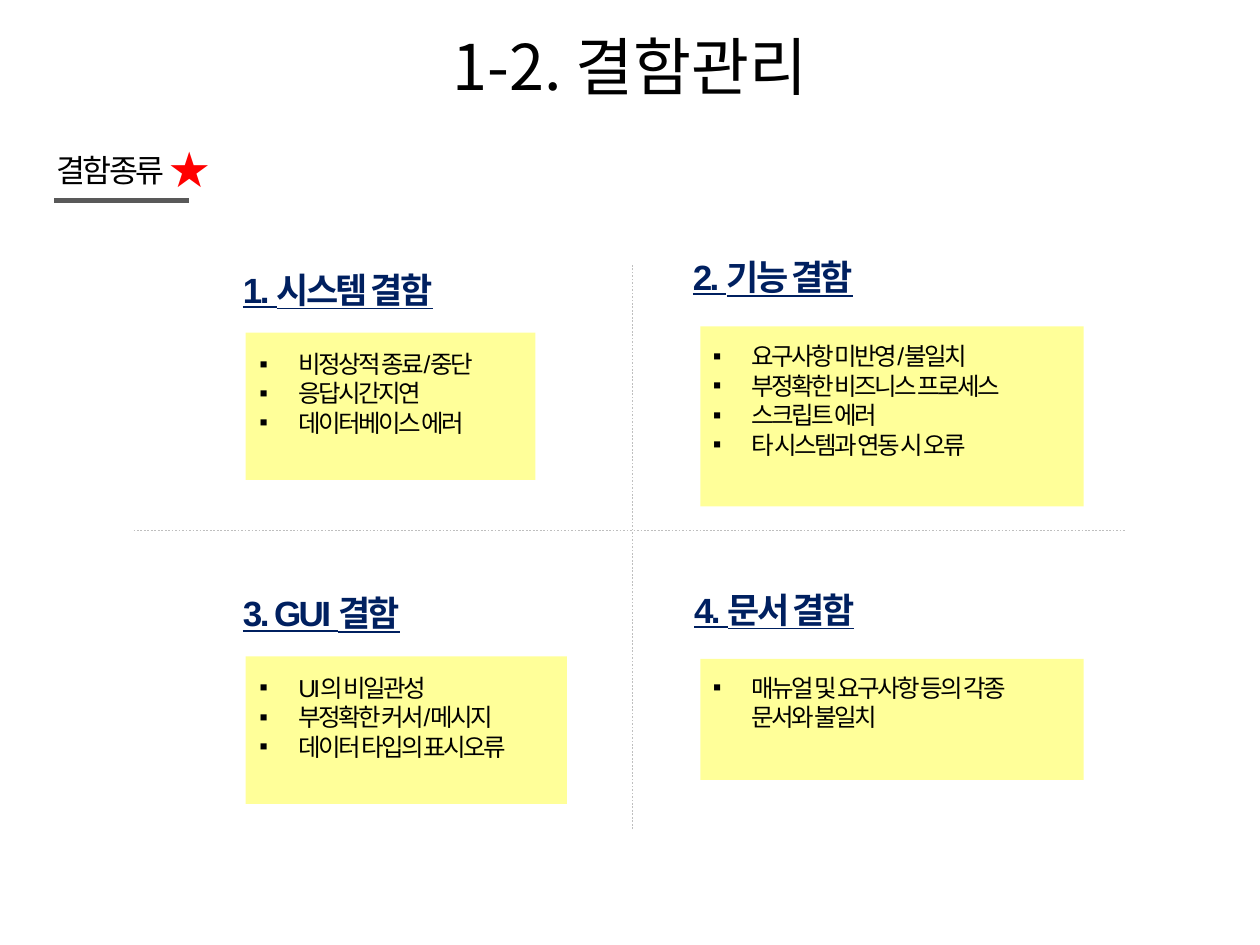
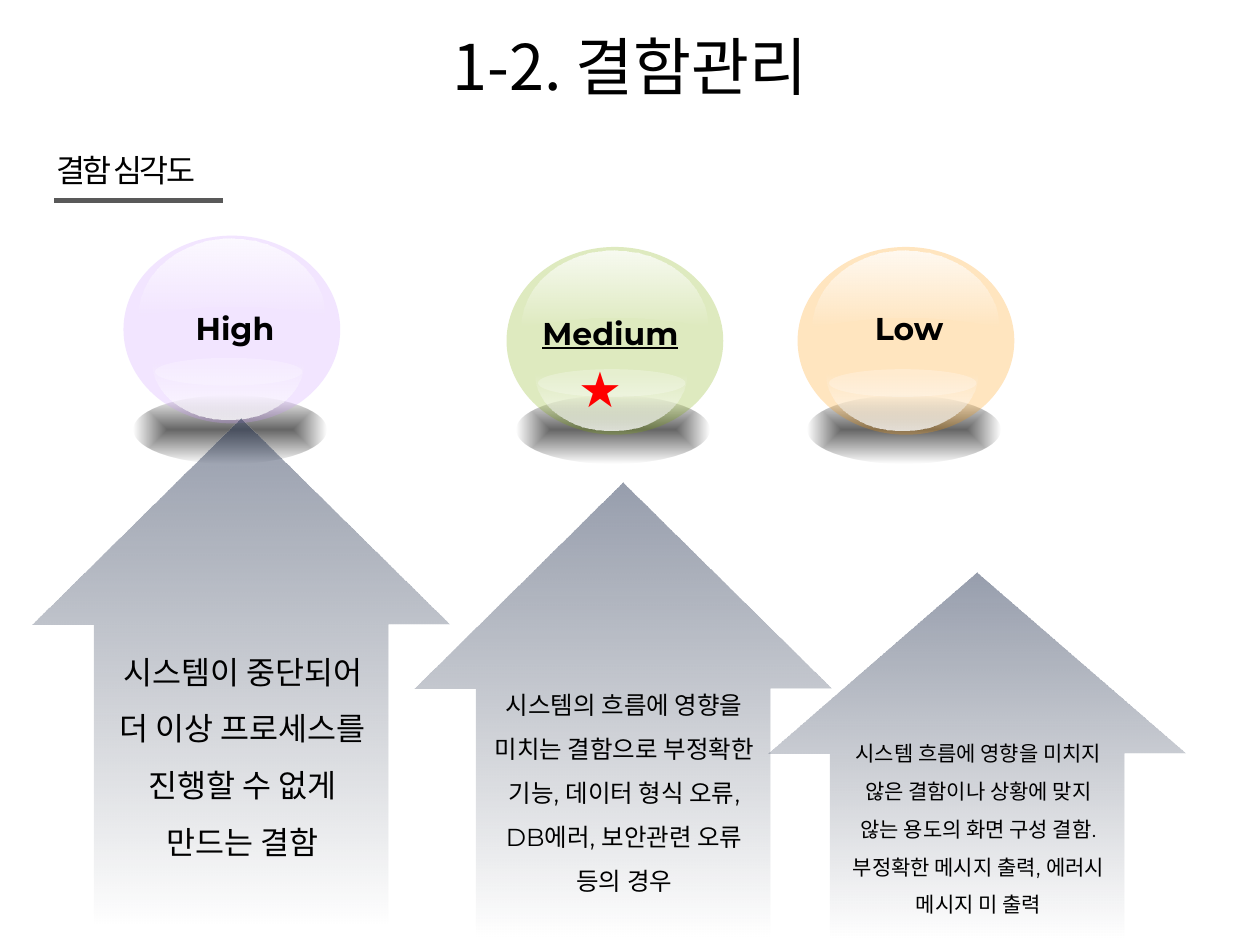
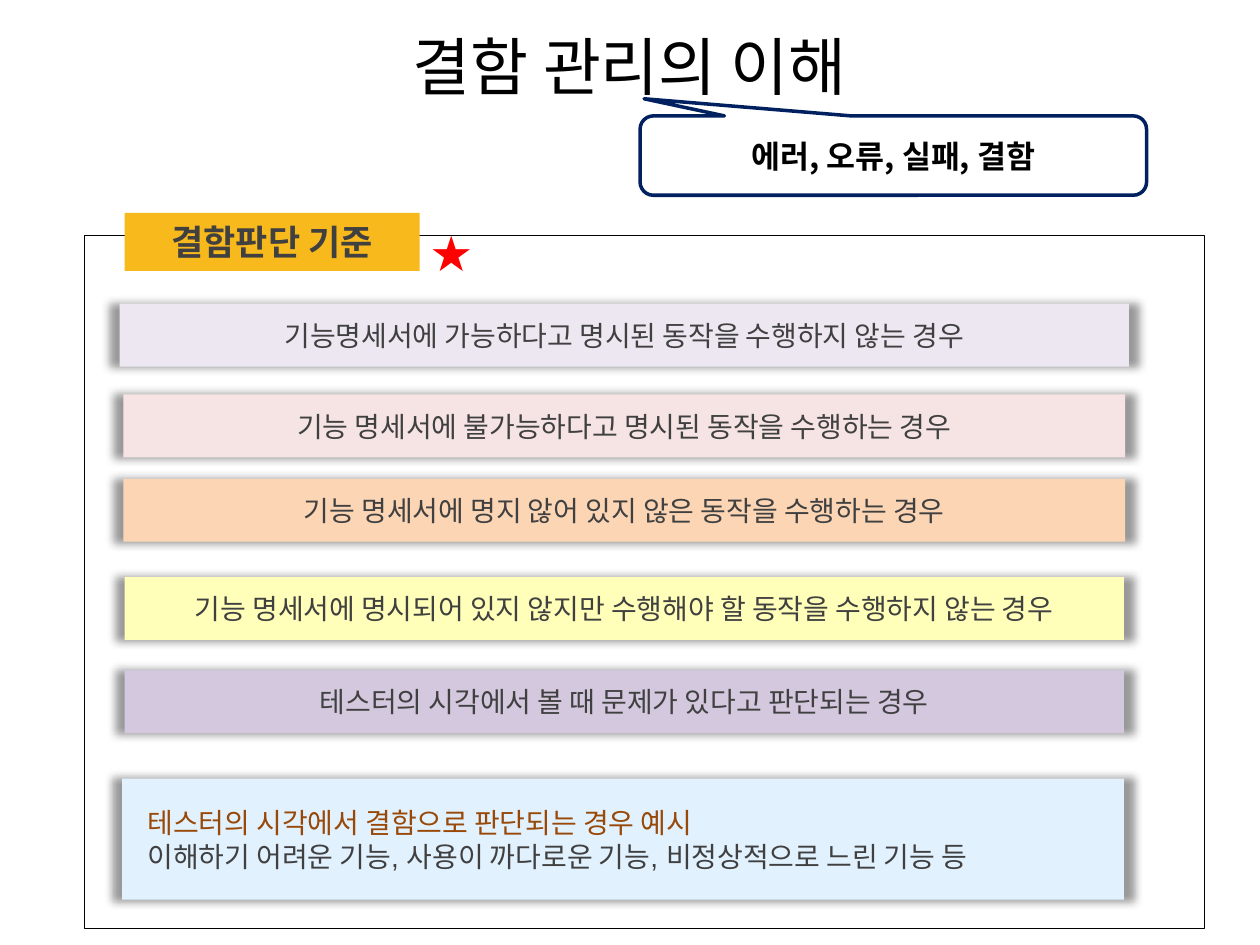
from math import cos, pi, sin

from lxml import etree
from pptx import Presentation
from pptx.dml.color import RGBColor
from pptx.enum.dml import MSO_LINE
from pptx.enum.shapes import MSO_CONNECTOR, MSO_SHAPE
from pptx.enum.text import MSO_ANCHOR, MSO_AUTO_SIZE, PP_ALIGN
from pptx.oxml import parse_xml
from pptx.oxml.ns import nsdecls, qn
from pptx.util import Inches, Pt

RECTANGLE, OVAL, MOON = MSO_SHAPE.RECTANGLE, MSO_SHAPE.OVAL, MSO_SHAPE.MOON
UP_ARROW, CALLOUT = MSO_SHAPE.UP_ARROW, MSO_SHAPE.ROUNDED_RECTANGULAR_CALLOUT
STRAIGHT = MSO_CONNECTOR.STRAIGHT
DOTTED = MSO_LINE.ROUND_DOT
LEFT, CENTER = PP_ALIGN.LEFT, PP_ALIGN.CENTER
TOP, MIDDLE = MSO_ANCHOR.TOP, MSO_ANCHOR.MIDDLE
GROW = MSO_AUTO_SIZE.SHAPE_TO_FIT_TEXT

KOREAN_FONT = "Noto Sans CJK KR"
BODY_FONT = "Arial"
LABEL_FONT = "Montserrat"

BLACK = RGBColor(0x00, 0x00, 0x00)
WHITE = RGBColor(0xFF, 0xFF, 0xFF)
NAVY = RGBColor(0x00, 0x20, 0x60)
RED = RGBColor(0xFF, 0x00, 0x00)
DARK_GRAY = RGBColor(0x40, 0x40, 0x40)
RULE_GRAY = RGBColor(0x59, 0x59, 0x59)
GRID_GRAY = RGBColor(0xBF, 0xBF, 0xBF)
NOTE_YELLOW = RGBColor(0xFF, 0xFF, 0x99)
BROWN = RGBColor(0x98, 0x48, 0x07)
GOLD = RGBColor(0xF8, 0xB9, 0x1C)
PURPLE = RGBColor(0xCC, 0x99, 0xFF)
GREEN = RGBColor(0x7F, 0xAC, 0x00)
ORANGE = RGBColor(0xFF, 0x99, 0x00)
ARROW_TOP = RGBColor(0x2D, 0x3B, 0x59)
ARROW_BOTTOM = RGBColor(0x20, 0x2A, 0x40)
LILAC = RGBColor(0xEC, 0xE7, 0xF1)
ROSE = RGBColor(0xF5, 0xE4, 0xE3)
PEACH = RGBColor(0xFC, 0xD5, 0xB5)
LEMON = RGBColor(0xFF, 0xFF, 0xB9)
VIOLET = RGBColor(0xD3, 0xC8, 0xDE)
SKY = RGBColor(0xE2, 0xF1, 0xFE)

DEFECT_TYPES = [
    ("1. 시스템 결함", (1.83, 2.17, 1.97), (1.95, 2.64, 2.3, 1.17), (1.96, 2.72, 2.2, 1.02),
     ["비정상적 종료/중단", "응답시간지연", "데이터베이스 에러"]),
    ("2. 기능 결함", (5.4, 2.07, 1.69), (5.56, 2.59, 3.04, 1.43), (5.56, 2.66, 2.87, 1.31),
     ["요구사항 미반영/불일치", "부정확한 비즈니스 프로세스", "스크립트 에러", "타 시스템과 연동 시 오류"]),
    ("3. GUI 결함", (1.83, 4.74, 1.6), (1.95, 5.21, 2.55, 1.17), (1.96, 5.29, 2.53, 1.02),
     ["UI의 비일관성", "부정확한 커서/메시지", "데이터 타입의 표시오류"]),
    ("4. 문서 결함", (5.41, 4.71, 1.69), (5.56, 5.23, 3.04, 0.96), (5.56, 5.29, 2.87, 0.72),
     ["매뉴얼 및 요구사항 등의 각종 문서와 불일치"]),
]

SEVERITY_BALLS = [
    ("Low", ORANGE, 6.33, 1.96, (6.45, 2.4), False),
    ("Medium", GREEN, 4.02, 1.96, (4.08, 2.44), True),
    ("High", PURPLE, 0.98, 1.87, (1.1, 2.4), False),
]

SEVERITY_ARROWS = [
    ("시스템이 중단되어 더 이상 프로세스를 진행할 수 없게 만드는 결함",
     18, 0.26, 3.32, 4.03, 4.98, 2.37),
    ("시스템의 흐름에 영향을 미치는 결함으로 부정확한 기능, 데이터 형식 오류, DB에러, 보안관련 오류 등의 경우",
     14, 3.29, 3.83, 3.61, 5.31, 1.87),
    ("시스템 흐름에 영향을 미치지 않은 결함이나 상황에 맞지 않는 용도의 화면 구성 결함. "
     "부정확한 메시지 출력, 에러시 메시지 미 출력",
     12, 6.1, 4.54, 2.91, 5.73, 1.58),
]

CRITERIA = [
    ("기능명세서에 가능하다고 명시된 동작을 수행하지 않는 경우", LILAC, 0.95, 2.41, 8.01),
    ("기능 명세서에 불가능하다고 명시된 동작을 수행하는 경우", ROSE, 0.98, 3.13, 7.95),
    ("기능 명세서에 명지 않어 있지 않은 동작을 수행하는 경우", PEACH, 0.98, 3.8, 7.95),
    ("기능 명세서에 명시되어 있지 않지만 수행해야 할 동작을 수행하지 않는 경우", LEMON, 0.99, 4.58, 7.93),
    ("테스터의 시각에서 볼 때 문제가 있다고 판단되는 경우", VIOLET, 0.99, 5.32, 7.93),
]
EXAMPLES = [
    "테스터의 시각에서 결함으로 판단되는 경우 예시",
    "이해하기 어려운 기능, 사용이 까다로운 기능, 비정상적으로 느린 기능 등",
]


def write_text(shape, lines, size, font=BODY_FONT, color=BLACK, bold=False, underline=False,
               align=LEFT, anchor=TOP, spacing=None, tracking=None, bullets=False):
    frame = shape.text_frame
    frame.text = "\n".join(lines)
    frame.vertical_anchor = anchor
    for paragraph in frame.paragraphs:
        paragraph.alignment = align
        if spacing:
            paragraph.line_spacing = spacing
        if bullets:
            properties = paragraph._p.get_or_add_pPr()
            properties.set("marL", str(Inches(0.31)))
            properties.set("indent", str(Inches(-0.31)))
            etree.SubElement(properties, qn("a:buFont"), typeface=BODY_FONT)
            etree.SubElement(properties, qn("a:buChar"), char="▪")
        for run in paragraph.runs:
            run.font.size = Pt(size)
            run.font.name = font
            run.font.bold = bold
            run.font.underline = underline
            run.font.color.rgb = color
            properties = run._r.get_or_add_rPr()
            latin = properties.find(qn("a:latin"))
            latin.addnext(parse_xml(f'<a:ea {nsdecls("a")} typeface="{KOREAN_FONT}"/>'))
            if tracking:
                properties.set("spc", str(round(tracking * 100)))


def add_text(slide, box, lines, size, wrap=True, grow=True, **style):
    shape = slide.shapes.add_textbox(*map(Inches, box))
    shape.text_frame.word_wrap = wrap
    if grow:
        shape.text_frame.auto_size = GROW
    write_text(shape, lines, size, **style)
    return shape


def finish_shape(shape, fill=None, line=None, width=1):
    shape.shadow.inherit = False
    if fill is None:
        shape.fill.background()
    else:
        shape.fill.solid()
        shape.fill.fore_color.rgb = fill
    if line is None:
        shape.line.fill.background()
    else:
        shape.line.color.rgb = line
        shape.line.width = Pt(width)


def add_shape(slide, kind, box, fill=None, line=None, width=1):
    shape = slide.shapes.add_shape(kind, *map(Inches, box))
    finish_shape(shape, fill, line, width)
    return shape


def color_xml(color, opacity):
    return f'<a:srgbClr val="{color}"><a:alpha val="{opacity * 1000}"/></a:srgbClr>'


def replace_fill(shape, xml):
    properties = shape._element.spPr
    properties.replace(properties.find(qn("a:noFill")), parse_xml(xml))


def fill_translucent(shape, color, opacity):
    replace_fill(shape, f'<a:solidFill {nsdecls("a")}>{color_xml(color, opacity)}</a:solidFill>')


def fill_gradient(shape, first, last, angle=None):
    if angle is None:
        direction = ('<a:path path="shape"><a:fillToRect l="50000" t="50000" '
                     'r="50000" b="50000"/></a:path>')
    else:
        direction = f'<a:lin ang="{angle * 60000}" scaled="1"/>'
    replace_fill(shape, f'<a:gradFill {nsdecls("a")} rotWithShape="1"><a:gsLst>'
                        f'<a:gs pos="0">{color_xml(*first)}</a:gs>'
                        f'<a:gs pos="100000">{color_xml(*last)}</a:gs>'
                        f'</a:gsLst>{direction}</a:gradFill>')


def add_glow_shadow(shape):
    effects = shape._element.spPr.find(qn("a:effectLst"))
    effects.append(parse_xml(
        f'<a:outerShdw {nsdecls("a")} blurRad="{Pt(5)}" sx="102000" sy="102000" algn="ctr" '
        f'rotWithShape="0">{color_xml(BLACK, 40)}</a:outerShdw>'))


def add_line(slide, start, end, color, width, dash=None):
    line = slide.shapes.add_connector(STRAIGHT, *map(Inches, start + end))
    line.line.color.rgb = color
    line.line.width = Pt(width)
    if dash:
        line.line.dash_style = dash
    etree.SubElement(line._element.spPr, qn("a:effectLst"))


def add_star(slide, left, top):
    add_text(slide, (left, top, 0.59, 0.57), ["★"], 28, wrap=False, color=RED, bold=True)


def add_section(slide, text, width, rule_end):
    add_text(slide, (0.35, 1.15, width, 0.4), [text], 18, tracking=-1.5)
    add_line(slide, (0.43, 1.59), (rule_end, 1.59), RULE_GRAY, 3)


def new_slide(presentation, title):
    slide = presentation.slides.add_slide(presentation.slide_layouts[6])
    add_text(slide, (0.12, 0.05, 9.76, 0.94), [title], 36, grow=False, font=KOREAN_FONT,
             align=CENTER, anchor=MIDDLE)
    return slide


def add_ball(slide, name, color, left, top, label_at, underline):
    shadow = add_shape(slide, OVAL, (left + 0.08, 3.14, 1.53, 0.54))
    fill_gradient(shadow, (BLACK, 60), (BLACK, 0))
    body = add_shape(slide, OVAL, (left, top, 1.72, 1.49))
    fill_translucent(body, color, 25)
    shine = add_shape(slide, MOON, (left + 0.55, top - 0.41, 0.61, 1.48))
    shine.adjustments[0] = 0.875
    shine.rotation = 90
    fill_gradient(shine, (WHITE, 80), (WHITE, 0), 0)
    rim = add_shape(slide, OVAL, (left + 0.25, top + 0.97, 1.17, 0.22))
    fill_translucent(rim, WHITE, 25)

    center, bowl_top, steps = left + 0.83, top + 1.01, 32
    points = [(Inches(center + 0.6 * cos(pi * step / steps)),
               Inches(bowl_top + 0.45 * sin(pi * step / steps))) for step in range(steps + 1)]
    builder = slide.shapes.build_freeform(*points[0])
    builder.add_line_segments(points[1:], close=True)
    bowl = builder.convert_to_shape()
    finish_shape(bowl)
    fill_gradient(bowl, (WHITE, 0), (WHITE, 80), 90)

    add_text(slide, (*label_at, 1.53, 0.4), [name], 18, font=LABEL_FONT, bold=True,
             underline=underline, align=CENTER)


def build_defect_types(presentation):
    slide = new_slide(presentation, "1-2. 결함관리")
    for heading, heading_at, panel, list_box, items in DEFECT_TYPES:
        add_shape(slide, RECTANGLE, panel, NOTE_YELLOW)
        add_text(slide, (*heading_at, 0.42), [heading], 20, wrap=False, color=NAVY, bold=True,
                 underline=True, spacing=0.7, tracking=-1.5)
        add_text(slide, list_box, items, 14, tracking=-1.5, bullets=True)
    add_line(slide, (5.02, 6.58), (5.02, 2.09), GRID_GRAY, 1, DOTTED)
    add_line(slide, (1.06, 4.21), (8.94, 4.21), GRID_GRAY, 1, DOTTED)
    add_section(slide, "결함종류", 2.28, 1.5)
    add_star(slide, 1.23, 1.05)


def build_severity(presentation):
    slide = new_slide(presentation, "1-2. 결함관리")
    add_section(slide, "결함 심각도", 1.42, 1.77)
    for ball in SEVERITY_BALLS:
        add_ball(slide, *ball)
    for text, size, left, top, height, text_top, text_height in SEVERITY_ARROWS:
        arrow = add_shape(slide, UP_ARROW, (left, top, 3.31, height))
        arrow.adjustments[0] = 0.705
        arrow.adjustments[1] = 0.494
        fill_gradient(arrow, (ARROW_TOP, 50), (ARROW_BOTTOM, 0), 90)
        add_text(slide, (left + 0.52, text_top, 2.29, text_height), [text], size,
                 font=LABEL_FONT, align=CENTER, spacing=1.5)
    add_star(slide, 4.49, 2.8)


def build_criteria(presentation):
    slide = new_slide(presentation, "결함 관리의 이해")
    callout = add_shape(slide, CALLOUT, (5.08, 0.92, 4.02, 0.63), line=NAVY, width=2)
    for index, value in enumerate((-0.492, -0.716, 0.167)):
        callout.adjustments[index] = value
    write_text(callout, ["에러, 오류, 실패, 결함"], 18, font=KOREAN_FONT, bold=True,
               align=CENTER, anchor=MIDDLE)
    add_shape(slide, RECTANGLE, (0.67, 1.87, 8.89, 5.5), WHITE, BLACK, 0.75)

    for text, color, left, top, width in CRITERIA:
        bar = add_shape(slide, RECTANGLE, (left, top, width, 0.5), color)
        add_glow_shadow(bar)
        write_text(bar, [text], 16, color=DARK_GRAY, align=CENTER, anchor=MIDDLE)

    example = add_shape(slide, RECTANGLE, (0.97, 6.18, 7.95, 0.96), SKY)
    add_glow_shadow(example)
    example.text_frame.margin_left = Inches(0.2)
    write_text(example, EXAMPLES, 16, color=DARK_GRAY, anchor=MIDDLE)
    example.text_frame.paragraphs[0].runs[0].font.color.rgb = BROWN

    tab = add_shape(slide, RECTANGLE, (0.99, 1.69, 2.34, 0.46), GOLD)
    write_text(tab, ["결함판단 기준"], 20, color=DARK_GRAY, bold=True, align=CENTER, anchor=MIDDLE)
    add_star(slide, 3.31, 1.72)


def main():
    presentation = Presentation()
    presentation.slide_width = Inches(10)
    presentation.slide_height = Inches(7.5)
    build_defect_types(presentation)
    build_severity(presentation)
    build_criteria(presentation)
    presentation.save("out.pptx")


if __name__ == "__main__":
    main()
